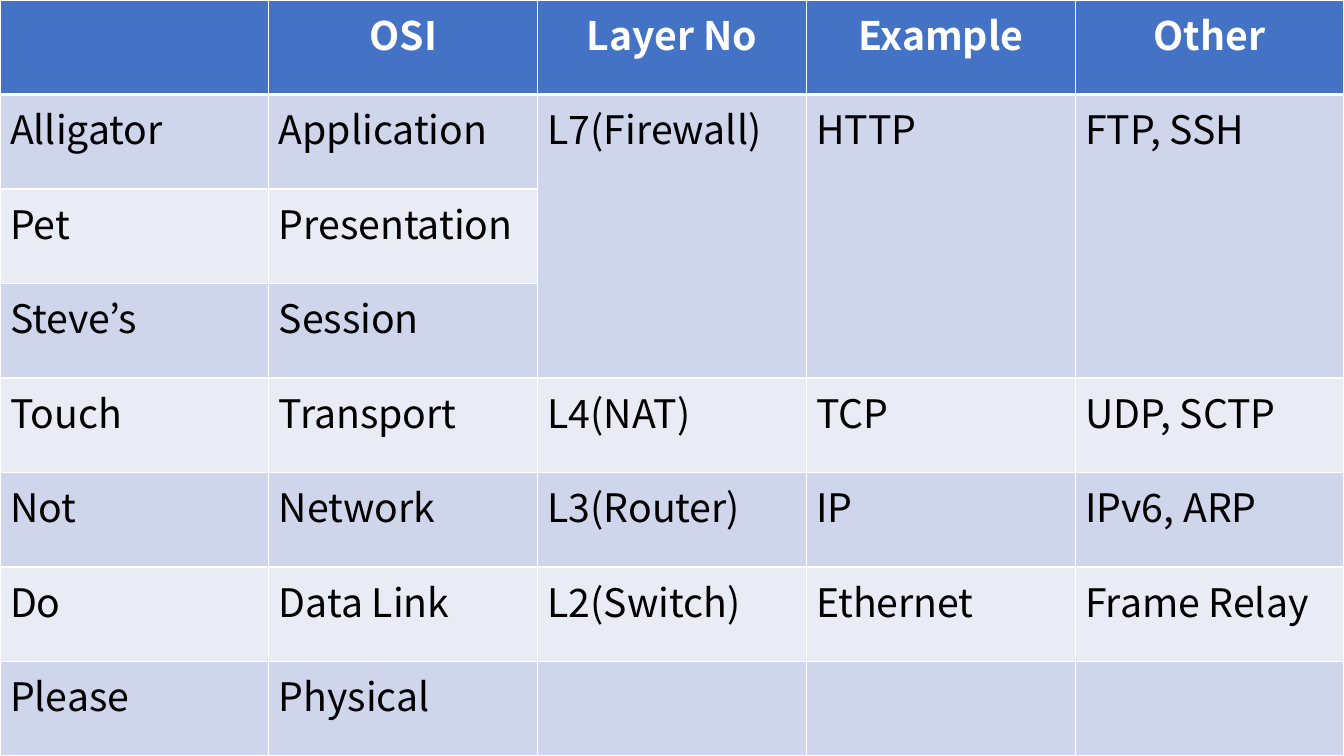
from dataclasses import dataclass

from lxml.etree import SubElement
from pptx import Presentation
from pptx.dml.color import RGBColor
from pptx.enum.text import PP_ALIGN as Align
from pptx.oxml.ns import qn
from pptx.table import _Cell as Cell
from pptx.util import Pt

WIDTH, HEIGHT = 960, 540
FONT = "Noto Sans CJK KR"
TEXT_SIZE = 28
THIN, THICK = 1, 3

WHITE = RGBColor(0xFF, 0xFF, 0xFF)
BLACK = RGBColor(0x00, 0x00, 0x00)
BLUE = RGBColor(0x44, 0x72, 0xC4)
BAND_DARK = RGBColor(0xCF, 0xD5, 0xEA)
BAND_LIGHT = RGBColor(0xE9, 0xEB, 0xF5)


@dataclass(frozen=True)
class CellStyle:
    """Look of one kind of table row."""
    fill: RGBColor
    color: RGBColor = BLACK
    bold: bool = False
    align: Align = Align.LEFT
    top: int = THIN
    bottom: int = THIN


HEADER = CellStyle(BLUE, WHITE, True, Align.CENTER, bottom=THICK)
FIRST_BAND = CellStyle(BAND_DARK, top=THICK)
BANDS = (CellStyle(BAND_LIGHT), CellStyle(BAND_DARK))

LAYERS = [
    ("", "OSI", "Layer No", "Example", "Other"),
    ("Alligator", "Application", "L7(Firewall)", "HTTP", "FTP, SSH"),
    ("Pet", "Presentation", "", "", ""),
    ("Steve’s", "Session", "", "", ""),
    ("Touch", "Transport", "L4(NAT)", "TCP", "UDP, SCTP"),
    ("Not", "Network", "L3(Router)", "IP", "IPv6, ARP"),
    ("Do", "Data Link", "L2(Switch)", "Ethernet", "Frame Relay"),
    ("Please", "Physical", "", "", ""),
]
MERGED_ROWS = (1, 3)
MERGED_COLUMNS = (2, 3, 4)


def row_style(row: int) -> CellStyle:
    """Choose the header, first band or alternating band style."""
    if row == 0:
        return HEADER
    return FIRST_BAND if row == 1 else BANDS[row % 2]


def add_borders(cell: Cell, style: CellStyle) -> None:
    """Draw white lines on all four sides of a cell."""
    properties = cell._tc.get_or_add_tcPr()
    sides = {"lnL": THIN, "lnR": THIN, "lnT": style.top, "lnB": style.bottom}
    for side, width in sides.items():
        line = SubElement(properties, qn(f"a:{side}"), w=str(Pt(width)))
        fill = SubElement(line, qn("a:solidFill"))
        SubElement(fill, qn("a:srgbClr"), val=str(WHITE))


def fill_cell(cell: Cell, text: str, style: CellStyle) -> None:
    """Give a cell its borders, fill and formatted text."""
    add_borders(cell, style)
    cell.fill.solid()
    cell.fill.fore_color.rgb = style.fill
    para = cell.text_frame.paragraphs[0]
    para.text = text
    para.alignment = style.align
    for span in para.runs:
        span.font.name = FONT
        span.font.size = Pt(TEXT_SIZE)
        span.font.bold = style.bold
        span.font.color.rgb = style.color


deck = Presentation()
deck.slide_width, deck.slide_height = Pt(WIDTH), Pt(HEIGHT)
page = deck.slides.add_slide(deck.slide_layouts[6])

table = page.shapes.add_table(
    len(LAYERS), len(LAYERS[0]), Pt(0), Pt(0), Pt(WIDTH), Pt(HEIGHT)
).table
for row, texts in enumerate(LAYERS):
    for column, text in enumerate(texts):
        fill_cell(table.cell(row, column), text, row_style(row))

first, last = MERGED_ROWS
for column in MERGED_COLUMNS:
    table.cell(first, column).merge(table.cell(last, column))

deck.save("out.pptx")
